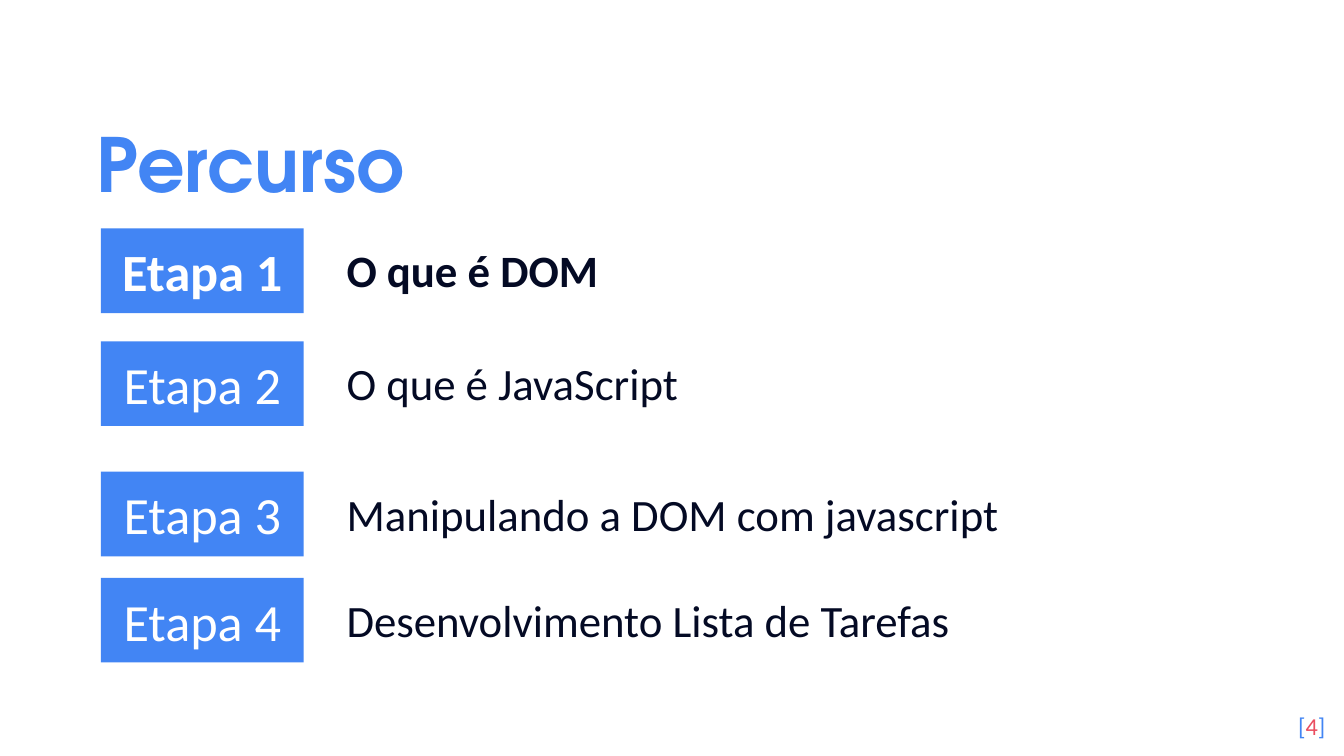
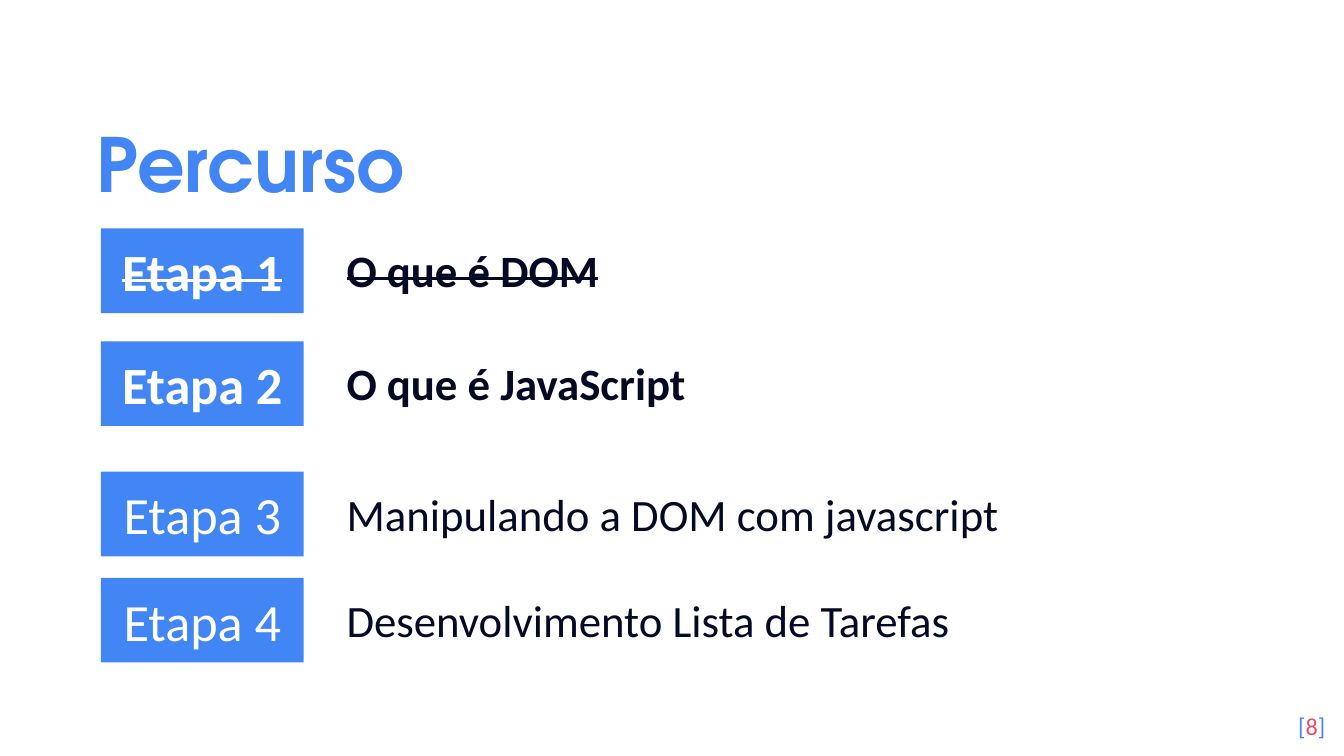
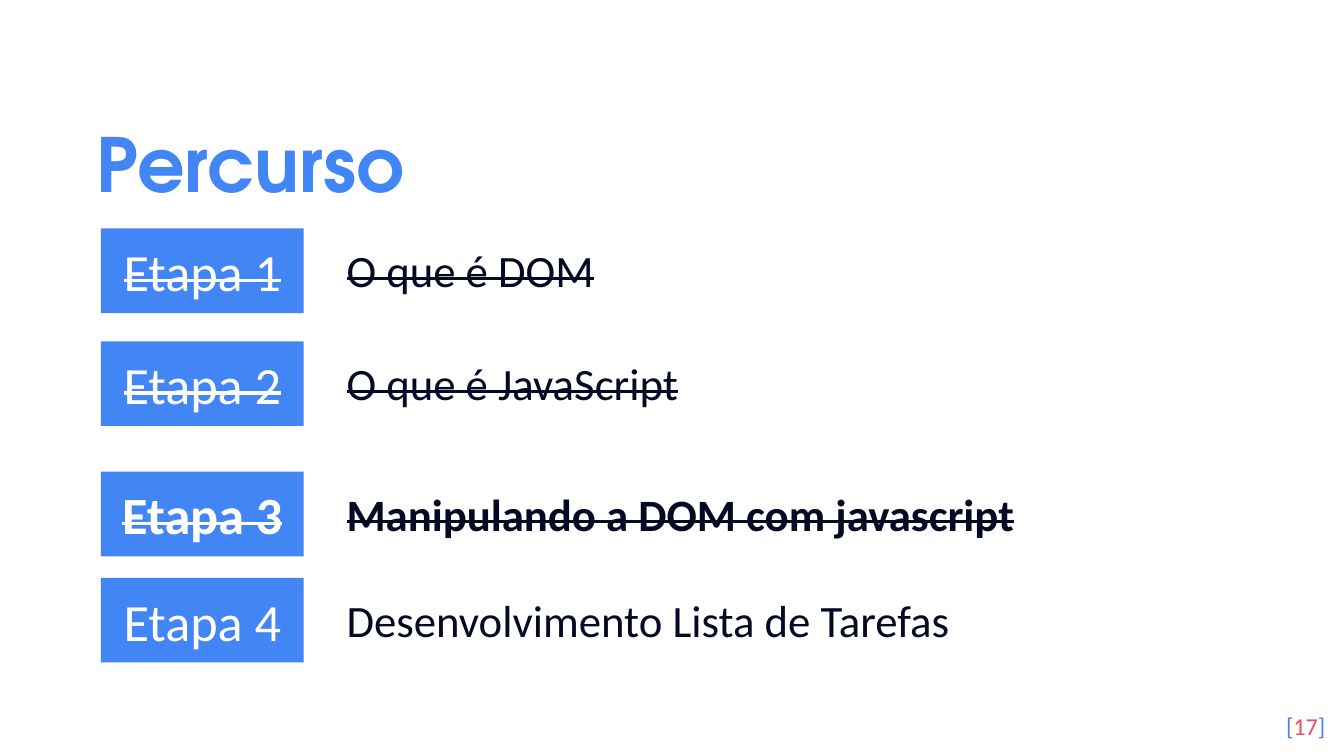
from pptx import Presentation
from pptx.dml.color import RGBColor
from pptx.enum.shapes import MSO_SHAPE
from pptx.enum.text import MSO_ANCHOR, MSO_AUTO_SIZE, PP_ALIGN
from pptx.util import Inches, Pt

COLORS = {"blue": "4285F4", "red": "EA4E60", "navy": "040A24", "white": "FFFFFF"}
TITLE_FONT, BODY_FONT = "TeX Gyre Adventor", "Calibri"

# Boxes: left, top, width, height in inches
TITLE_BOX = (0.62, 0.7, 8.1, 0.92)
PAGE_BOX = (9.36, 5.19, 0.6, 0.43)
STEP_LEFT, STEP_WIDTH, STEP_HEIGHT = 0.75, 8.48, 0.63
BADGE_WIDTH = 1.51
TOPIC_OFFSET, TOPIC_INSET, TOPIC_HEIGHT = 1.73, 0.06, 0.5

STEPS = [
    ("O que é DOM", 1.7),
    ("O que é JavaScript", 2.54),
    ("Manipulando a DOM com javascript", 3.51),
    ("Desenvolvimento Lista de Tarefas", 4.3),
]

# Page number, steps in bold, steps struck through
AGENDAS = [
    (4, {1}, set()),
    (8, {1, 2}, {1}),
    (17, {3}, {1, 2, 3}),
]


def rgb(name):
    return RGBColor.from_string(COLORS[name])


def inches(box):
    return [Inches(length) for length in box]


def format_frame(frame, anchor=MSO_ANCHOR.TOP, inset_y=0.1):
    values = {
        "word_wrap": True,
        "auto_size": MSO_AUTO_SIZE.NONE,
        "vertical_anchor": anchor,
        "margin_left": Inches(0.1),
        "margin_right": Inches(0.1),
        "margin_top": Inches(inset_y),
        "margin_bottom": Inches(inset_y),
    }
    for key, value in values.items():
        setattr(frame, key, value)


def add_run(paragraph, text, size, color, font=BODY_FONT, bold=False, struck=False):
    run = paragraph.add_run()
    run.text = text
    for key, value in {"name": font, "size": Pt(size), "bold": bold}.items():
        setattr(run.font, key, value)
    run.font.color.rgb = rgb(color)
    if struck:
        run.font._element.set("strike", "sngStrike")


def indent(paragraph, left, first):
    properties = paragraph._p.get_or_add_pPr()
    for key, length in {"marL": left, "indent": first}.items():
        properties.set(key, str(Inches(length)))


def add_title(slide, box, text):
    title = slide.shapes.title
    title.left, title.top, title.width, title.height = inches(box)
    format_frame(title.text_frame, MSO_ANCHOR.MIDDLE)
    paragraph = title.text_frame.paragraphs[0]
    paragraph.alignment = PP_ALIGN.LEFT
    paragraph.line_spacing = 1.15
    add_run(paragraph, text, 40, "blue", TITLE_FONT, bold=True)


def add_step(slide, box, number, topic, **emphasis):
    left, top, width, height = box

    # Numbered badge
    badge = slide.shapes.add_shape(
        MSO_SHAPE.RECTANGLE, *inches((left, top, BADGE_WIDTH, height)))
    badge.shadow.inherit = False
    badge.fill.solid()
    badge.fill.fore_color.rgb = rgb("blue")
    badge.line.fill.background()
    format_frame(badge.text_frame, MSO_ANCHOR.MIDDLE)
    label = badge.text_frame.paragraphs[0]
    label.alignment = PP_ALIGN.CENTER
    label.level = 1
    indent(label, 0, 0)
    add_run(label, f"Etapa {number}", 28, "white", **emphasis)

    # Topic beside the badge
    topic_box = slide.shapes.add_textbox(*inches((
        left + TOPIC_OFFSET, top + TOPIC_INSET, width - TOPIC_OFFSET, TOPIC_HEIGHT)))
    format_frame(topic_box.text_frame, inset_y=0.05)
    line = topic_box.text_frame.paragraphs[0]
    indent(line, 0.5, -0.5)
    add_run(line, topic, 24, "navy", **emphasis)


def add_page_number(slide, box, number):
    page = slide.shapes.add_textbox(*inches(box))
    format_frame(page.text_frame)
    paragraph = page.text_frame.paragraphs[0]
    paragraph.alignment = PP_ALIGN.RIGHT
    for text, color in (("[", "blue"), (str(number), "red"), ("]", "blue")):
        add_run(paragraph, text, 13, color)


def add_agenda(prs, page, current, done):
    slide = prs.slides.add_slide(prs.slide_layouts[5])
    add_title(slide, TITLE_BOX, "Percurso")
    for number, (topic, top) in enumerate(STEPS, start=1):
        add_step(slide, (STEP_LEFT, top, STEP_WIDTH, STEP_HEIGHT), number, topic,
                 bold=number in current, struck=number in done)
    add_page_number(slide, PAGE_BOX, page)


def main():
    prs = Presentation()
    # Widescreen, 16:9
    prs.slide_width = Inches(10)
    prs.slide_height = prs.slide_width * 9 // 16
    background = prs.slide_master.background.fill
    background.solid()
    background.fore_color.rgb = rgb("white")
    for page, current, done in AGENDAS:
        add_agenda(prs, page, current, done)
    prs.save("out.pptx")


if __name__ == "__main__":
    main()
